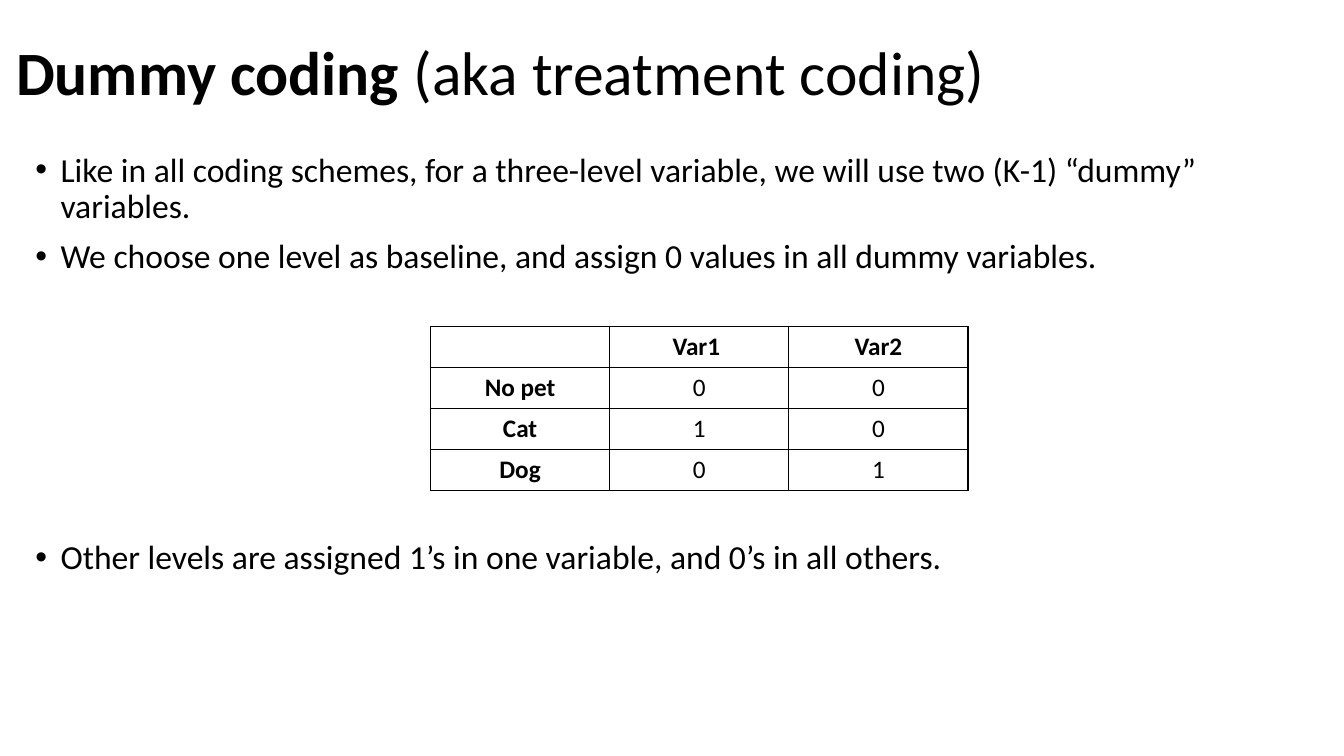
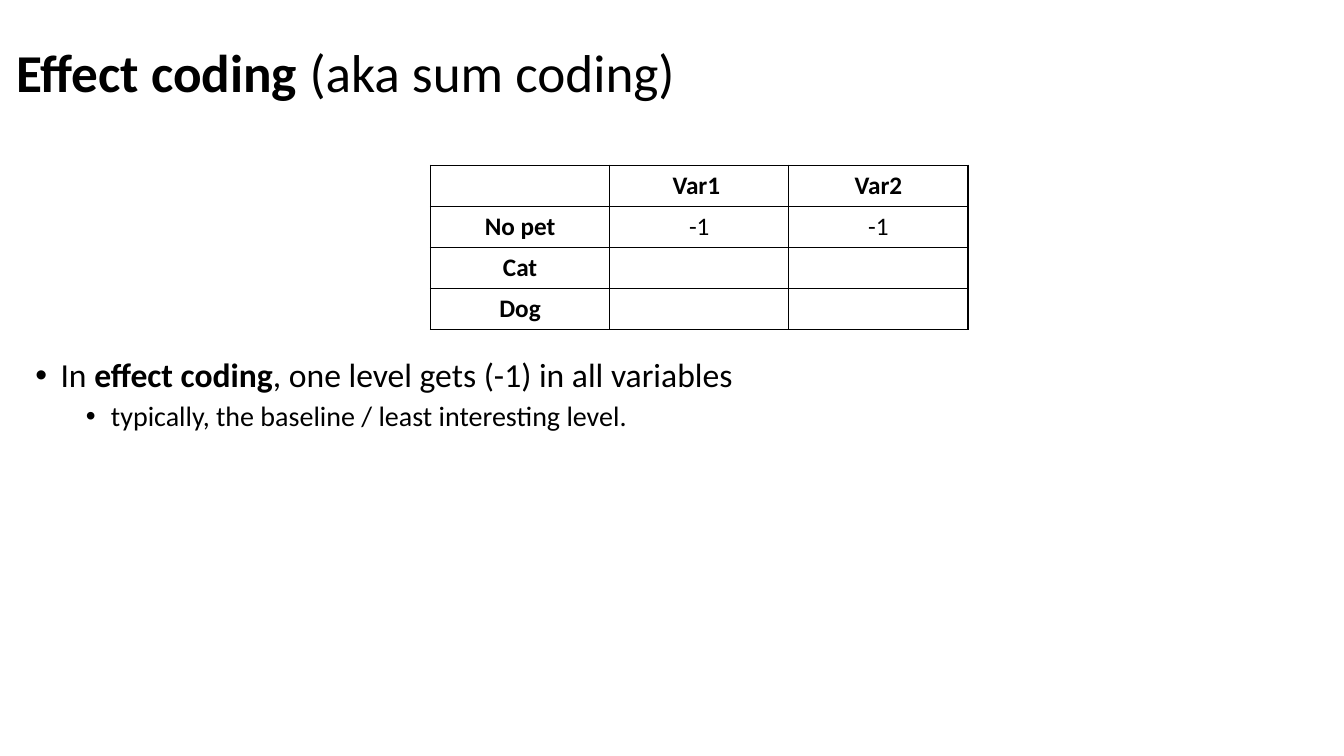
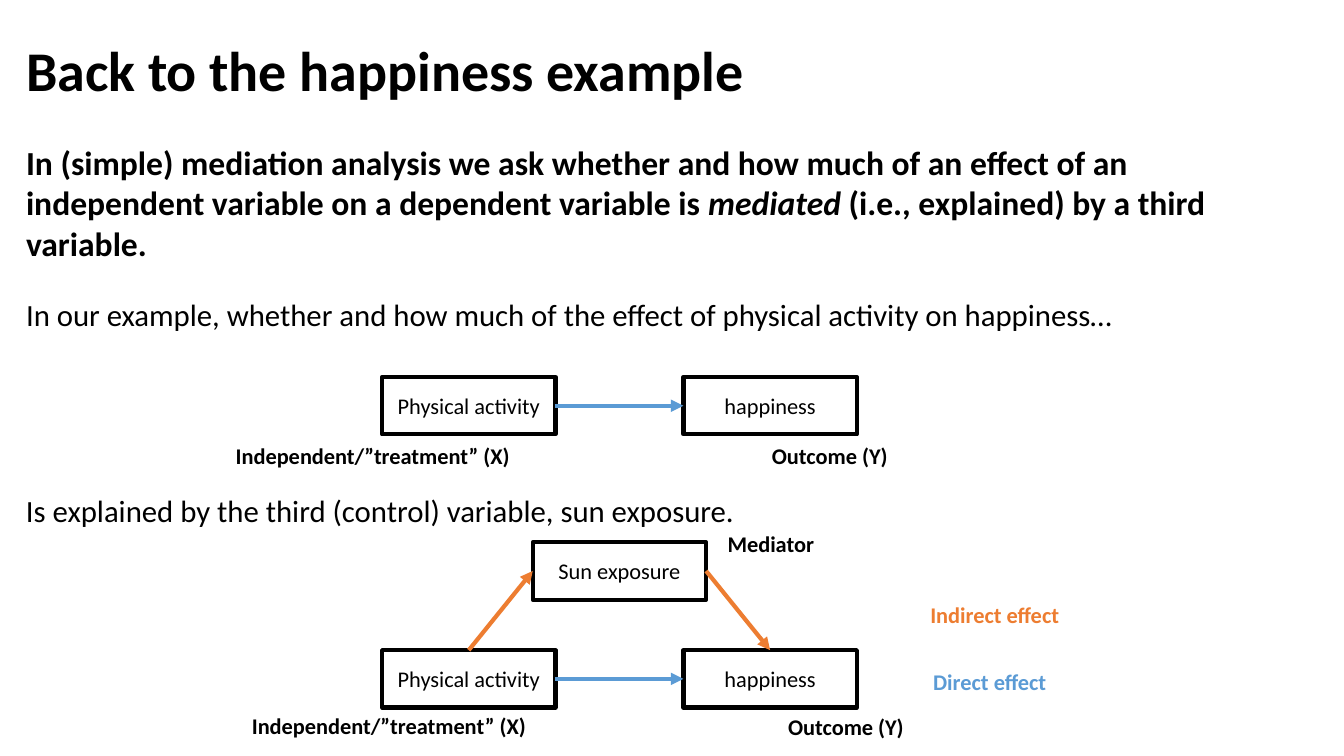
"""Build three statistics slides: dummy coding, effect coding and a mediation example."""
from lxml import etree
from pptx import Presentation
from pptx.dml.color import RGBColor
from pptx.enum.shapes import MSO_CONNECTOR as LINK, MSO_SHAPE as SHAPE
from pptx.enum.text import MSO_ANCHOR as ANCHOR, MSO_AUTO_SIZE as FIT, PP_ALIGN as ALIGN
from pptx.oxml import parse_xml
from pptx.oxml.ns import nsdecls, qn
from pptx.util import Inches, Pt

COLOURS = {"ink": "000000", "direct": "5B9BD5", "indirect": "ED7D31"}
FONT = "Calibri"
TIGHT = 0.9
TITLE_HEIGHT = 19.33
TOP, LEFT, BOTTOM, RIGHT = range(4)

deck = Presentation()
deck.slide_width, deck.slide_height = Inches(13.333), Inches(7.5)


def share(left, top, width, height):
    """Turn percentages of the slide's size into lengths."""
    across, down = deck.slide_width / 100, deck.slide_height / 100
    return [int(left * across), int(top * down), int(width * across), int(height * down)]


def write(paragraph, runs, size, colour="ink"):
    """Add (text, style) runs, where style may hold b for bold and i for italic."""
    for text, style in runs:
        run = paragraph.add_run()
        run.text = text
        run.font.name, run.font.size = FONT, Pt(size)
        run.font.bold, run.font.italic = "b" in style, "i" in style
        run.font.color.rgb = RGBColor.from_string(COLOURS[colour])


headings = [
    (1, [("Dummy coding ", "b"), ("(aka treatment coding)", "")], 44, (0.45, 0.27, 86.25)),
    (1, [("Effect coding ", "b"), ("(aka sum coding)", "")], 38, (0.45, 0.27, 94.72)),
    (5, [("Back to the happiness example", "b")], 40, (1.2, 0, 91.95)),
]
slides = []
for layout, runs, size, spot in headings:
    slide = deck.slides.add_slide(deck.slide_layouts[layout])
    title = slide.shapes.title
    title.left, title.top, title.width, title.height = share(*spot, TITLE_HEIGHT)
    title.text_frame.vertical_anchor = ANCHOR.MIDDLE
    title.text_frame.auto_size = FIT.NONE
    heading = title.text_frame.paragraphs[0]
    heading.alignment, heading.line_spacing = ALIGN.LEFT, TIGHT
    write(heading, runs, size)
    slides.append(slide)
dummy, effect, mediation = slides

codings = [
    (dummy, (1.88, 19.6, 97.5, 74.27), [
        (0, 0, 24, [("Like in all coding schemes, for a three-level variable, we will use two "
                     "(K-1) “dummy” variables.", "")]),
        (0, 10, 24, [("We choose one level as baseline, and assign 0 values in all dummy variables.", "")]),
        (0, 189, 24, [("Other levels are assigned 1’s in one variable, and 0’s in all others.", "")]),
    ], 43.2, [("0", "0"), ("1", "0"), ("0", "1")]),
    (effect, (1.88, 46.8, 97.5, 46.93), [
        (0, 0, 24, [("In ", ""), ("effect coding", "b"), (", one level gets (-1) in all variables", "")]),
        (1, 5, 20, [("typically, the baseline / least interesting level.", "")]),
    ], 21.87, [("-1", "-1"), ("", ""), ("", "")]),
]
for slide, spot, points, table_top, codes in codings:
    body = slide.placeholders[1]
    body.left, body.top, body.width, body.height = share(*spot)
    frame = body.text_frame
    frame.auto_size = FIT.NONE
    for index, (level, gap, size, runs) in enumerate(points):
        point = frame.add_paragraph() if index else frame.paragraphs[0]
        point.level = level
        point.line_spacing, point.space_before = TIGHT, Pt(gap)
        properties = point._p.get_or_add_pPr()
        properties.set("marL", str(Inches(0.25 + 0.5 * level)))
        properties.set("indent", str(-Inches(0.25)))
        etree.SubElement(properties, qn("a:buFont")).set("typeface", "Arial")
        etree.SubElement(properties, qn("a:buChar")).set("char", "•")
        write(point, runs, size)

    rows = [("", "Var1 ", "Var2")]
    rows += [(pet, *values) for pet, values in zip(("No pet", "Cat", "Dog"), codes)]
    grid = slide.shapes.add_table(len(rows), 3, *share(32.03, table_top, 40, 21.7)).table
    grid.first_row = grid.horz_banding = False
    for r, row in enumerate(rows):
        for c, text in enumerate(row):
            cell = grid.cell(r, c)
            cell.fill.background()
            cell.vertical_anchor = ANCHOR.MIDDLE
            for place, side in enumerate("LRTB"):
                cell._tc.get_or_add_tcPr().insert(place, parse_xml(
                    f'<a:ln{side} {nsdecls("a")} w="{Pt(1)}"><a:solidFill>'
                    f'<a:srgbClr val="{COLOURS["ink"]}"/></a:solidFill></a:ln{side}>'))
            entry = cell.text_frame.paragraphs[0]
            entry.alignment = ALIGN.CENTER
            if text:
                write(entry, [(text, "" if r and c else "b")], 18)

BOX_WIDTH, BOX_HEIGHT = 12.9, 7.6
CAUSE_LEFT, OUTCOME_LEFT = 28.43, 50.85
FIRST_TIER, SECOND_TIER = 49.87, 86
boxes = {}
for name, text, left, top in [
    ("cause", "Physical activity", CAUSE_LEFT, FIRST_TIER),
    ("outcome", "happiness", OUTCOME_LEFT, FIRST_TIER),
    ("mediated cause", "Physical activity", CAUSE_LEFT, SECOND_TIER),
    ("mediated outcome", "happiness", OUTCOME_LEFT, SECOND_TIER),
    ("mediator", "Sun exposure", (CAUSE_LEFT + OUTCOME_LEFT) / 2, 71.73),
]:
    box = mediation.shapes.add_shape(SHAPE.RECTANGLE, *share(left, top, BOX_WIDTH, BOX_HEIGHT))
    box.shadow.inherit = False
    box.fill.background()
    box.line.color.rgb = RGBColor.from_string(COLOURS["ink"])
    box.line.width = Pt(3)
    box.text_frame.vertical_anchor = ANCHOR.MIDDLE
    variable = box.text_frame.paragraphs[0]
    variable.alignment = ALIGN.CENTER
    write(variable, [(text, "")], 16)
    boxes[name] = box

for start, start_side, end, end_side, colour in [
    ("cause", RIGHT, "outcome", LEFT, "direct"),
    ("mediated cause", RIGHT, "mediated outcome", LEFT, "direct"),
    ("mediated cause", TOP, "mediator", LEFT, "indirect"),
    ("mediator", RIGHT, "mediated outcome", TOP, "indirect"),
]:
    arrow = mediation.shapes.add_connector(LINK.STRAIGHT, 0, 0, 0, 0)
    arrow.begin_connect(boxes[start], start_side)
    arrow.end_connect(boxes[end], end_side)
    arrow.line.color.rgb = RGBColor.from_string(COLOURS[colour])
    arrow.line.width = Pt(3)
    etree.SubElement(arrow.line._get_or_add_ln(), qn("a:tailEnd")).set("type", "triangle")
    etree.SubElement(arrow._element.spPr, qn("a:effectLst"))

question = [
    ("In (simple) mediation analysis we ask whether and how much of an effect of an "
     "independent variable on a dependent variable is ", "b"),
    ("mediated", "bi"),
    (" (i.e., explained) by a third variable.", "b"),
]
example = "In our example, whether and how much of the effect of physical activity on happiness…"
treatment, result = [("Independent/”treatment” (X)", "b")], [("Outcome (Y)", "b")]
for runs, size, colour, spot in [
    (question, 24, "ink", (1.2, 18.13, 96, 17.47)),
    ([(example, "")], 22, "ink", (1.2, 38.4, 95.25, 6.27)),
    ([("Is explained by the third (control) variable, sun exposure.", "")], 22, "ink",
     (1.2, 64.4, 91, 6.27)),
    (treatment, 16, "ink", (16.8, 57.87, 26.25, 4.93)),
    (result, 16, "ink", (56.7, 57.87, 12, 4.93)),
    (treatment, 16, "ink", (18, 93.6, 26.25, 4.93)),
    (result, 16, "ink", (57.9, 93.7, 12, 4.93)),
    ([("Mediator", "b")], 16, "ink", (53.4, 69.47, 9.1, 4.93)),
    ([("Indirect effect", "b")], 16, "indirect", (68.48, 78.8, 13.9, 4.93)),
    ([("Direct effect", "b")], 16, "direct", (68.7, 87.73, 12.45, 4.93)),
]:
    note = mediation.shapes.add_textbox(*share(*spot)).text_frame
    note.word_wrap = True
    write(note.paragraphs[0], runs, size, colour)

deck.save("out.pptx")
